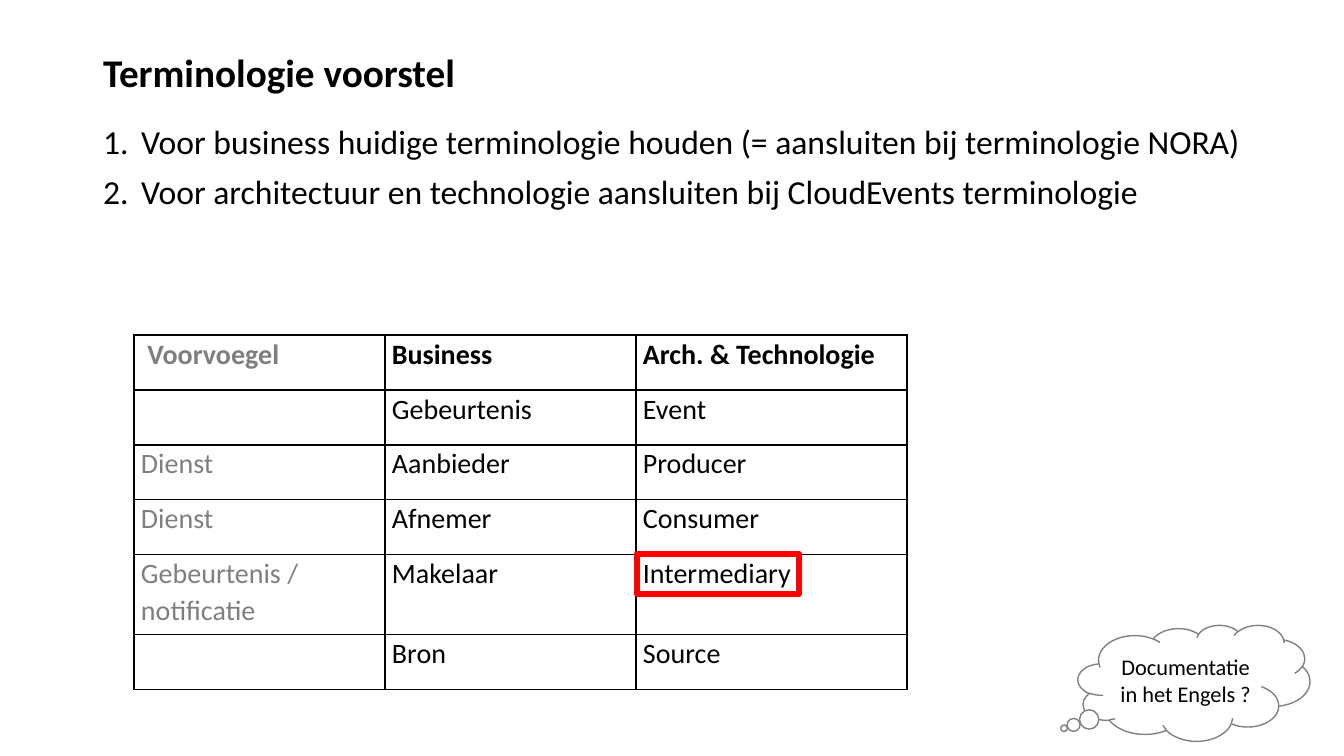
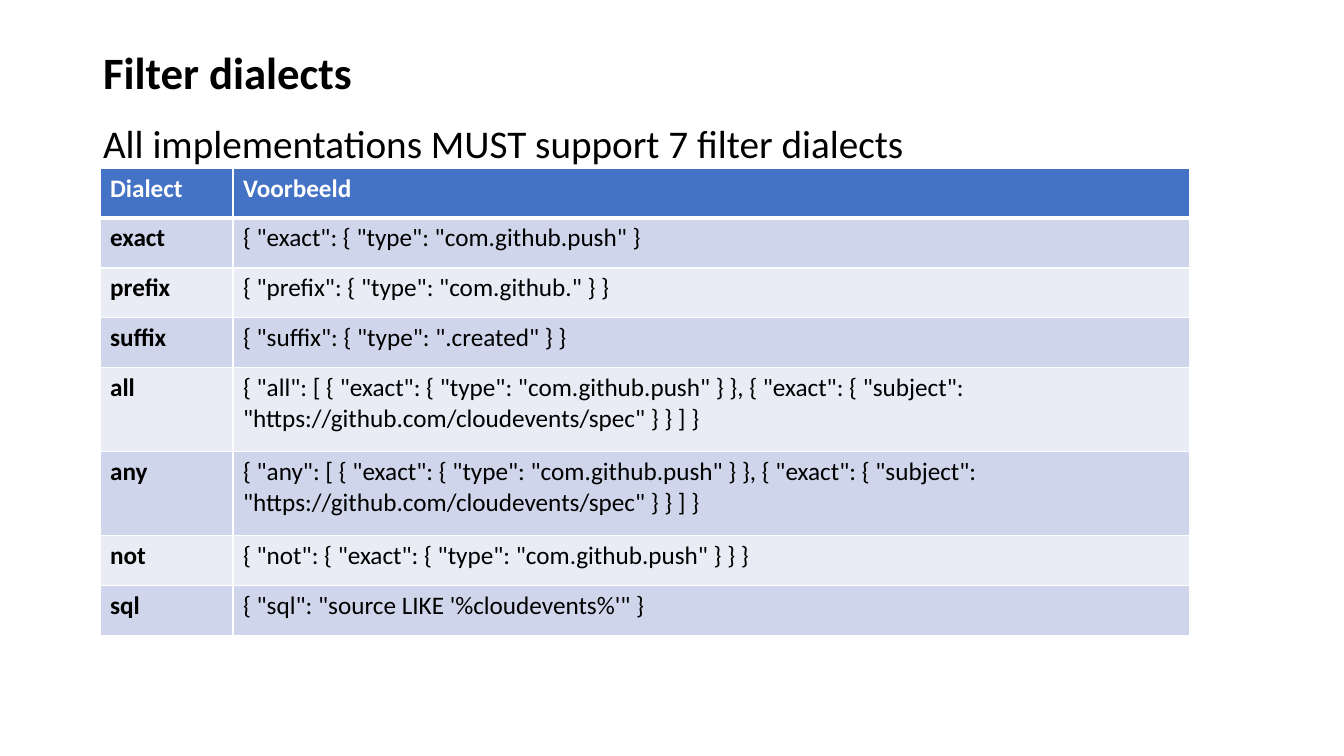
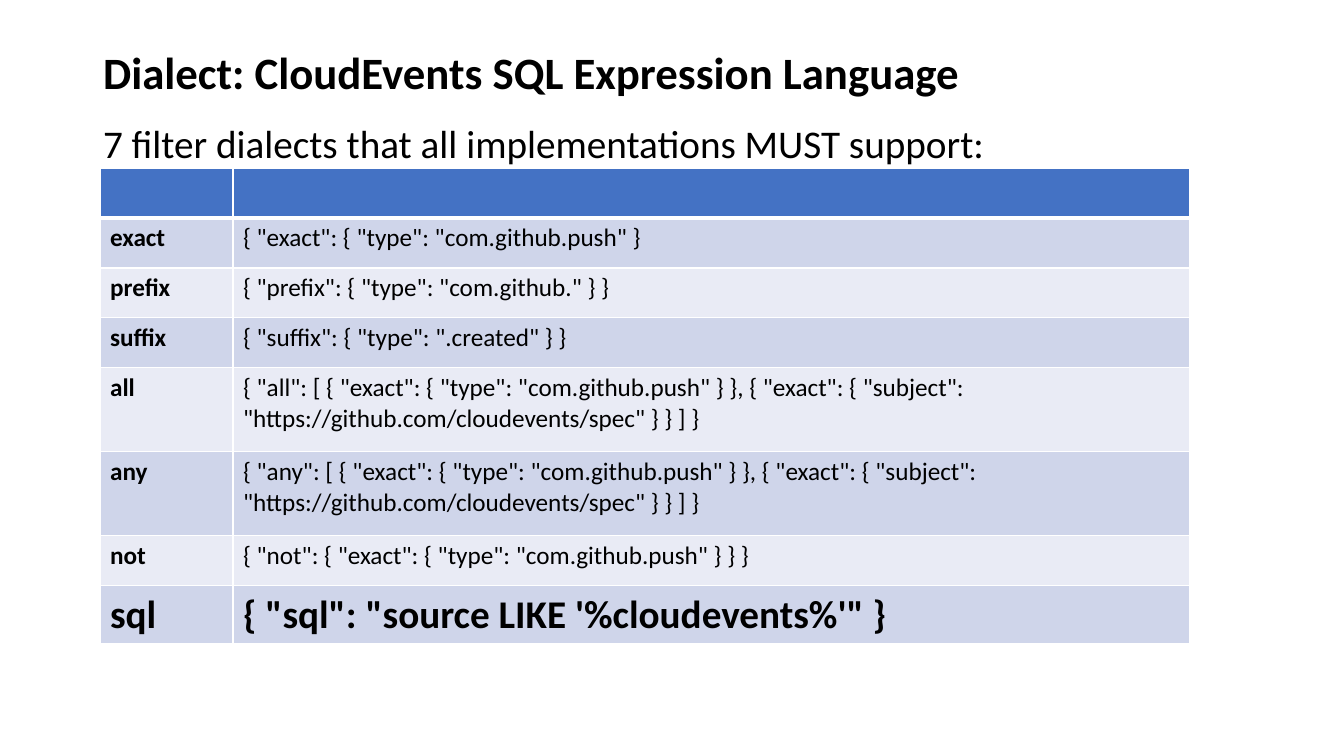
from dataclasses import dataclass

from pptx import Presentation
from pptx.dml.color import RGBColor as Rgb
from pptx.enum.shapes import MSO_SHAPE as Shape
from pptx.enum.text import MSO_ANCHOR as Anchor, MSO_AUTO_SIZE as Fit, PP_ALIGN as Align
from pptx.oxml.xmlchemy import OxmlElement as Node
from pptx.util import Pt

WIDE, HIGH = 1344, 756
SCALE = 12192000 / WIDE


def px(n):
    return round(n * SCALE)


@dataclass(frozen=True)
class Theme:
    font: str = "Calibri"
    black: str = "000000"
    white: str = "FFFFFF"
    gray: str = "7F7F7F"
    edge: str = "808080"
    red: str = "FF0000"
    blue: str = "4472C4"
    dark: str = "CFD5EA"
    light: str = "E9EBF5"
    small: int = 16
    code: int = 18
    term: int = 20
    list: int = 24
    big: int = 28
    head: int = 32


T = Theme()


def apply(obj, fmt):
    for key, val in fmt.items():
        setattr(obj, key, val)


class Deck:
    """Holds the presentation and the current slide."""

    def __init__(self):
        self.prs = Presentation()
        apply(self.prs, {"slide_width": px(WIDE), "slide_height": px(HIGH)})
        self.slide = None

    # Text
    def label(self, frame, lines, size, color=T.black, bold=False, number=None, **para):
        for i, line in enumerate(lines):
            par = frame.add_paragraph() if i else frame.paragraphs[0]
            if number is not None:
                self.bullet(par, number)
            apply(par, para if i else {**para, "space_before": Pt(0)})
            run = par.add_run()
            run.text = line
            apply(run.font, {"name": T.font, "size": Pt(size), "bold": bold})
            run.font.color.rgb = Rgb.from_string(color)

    def bullet(self, par, number):
        props = par._p.get_or_add_pPr()
        pad = px(38) if number else 0
        props.set("marL", str(pad))
        props.set("indent", str(-pad))
        mark = Node("a:buAutoNum" if number else "a:buNone")
        if number:
            mark.set("type", "arabicPeriod")
        props.append(mark)

    def place(self, holder, box, anchor):
        names = ("left", "top", "width", "height")
        apply(holder, dict(zip(names, map(px, box))))
        apply(holder.text_frame, {"word_wrap": True, "auto_size": Fit.NONE,
                                  "vertical_anchor": anchor})
        return holder.text_frame

    # Slide with title and body
    def page(self, title, lines, head=T.head, size=T.big, number=False,
             span=1159, body=(1159, 560)):
        self.slide = self.prs.slides.add_slide(self.prs.slide_layouts[1])
        name, text = self.slide.placeholders
        style = {"alignment": Align.LEFT, "line_spacing": 0.9}
        frame = self.place(name, (93, 40, span, 70), Anchor.MIDDLE)
        self.label(frame, [title], head, bold=True, **style)
        frame = self.place(text, (93, 120, *body), Anchor.TOP)
        self.label(frame, lines, size, number=number, space_before=Pt(10), **style)

    # Table: look(row, col) gives the fill and the text format of a cell
    def table(self, x, y, cols, rows, data, look, line, rule=1, inset=None, **para):
        grid = self.slide.shapes.add_table(
            len(rows), len(cols), px(x), px(y), px(sum(cols)), px(sum(rows))).table
        grid.horz_banding = False
        for col, wide in zip(grid.columns, cols):
            col.width = px(wide)
        for r, (row, high) in enumerate(zip(grid.rows, rows)):
            row.height = px(high)
            for c, cell in enumerate(row.cells):
                fill, fmt = look(r, c)
                self.border(cell, line, top=rule if r == 1 else 1,
                            bottom=rule if r == 0 else 1)
                self.paint(cell, fill)
                apply(cell, inset or {})
                if data[r][c]:
                    self.label(cell.text_frame, [data[r][c]], **fmt, **para)

    def border(self, cell, color, top, bottom):
        props = cell._tc.get_or_add_tcPr()
        for side, wide in zip("LRTB", (1, 1, top, bottom)):
            edge = Node(f"a:ln{side}")
            edge.set("w", str(Pt(wide)))
            fill, tint = Node("a:solidFill"), Node("a:srgbClr")
            tint.set("val", color)
            fill.append(tint)
            edge.append(fill)
            props.append(edge)

    def paint(self, item, color):
        if color:
            item.fill.solid()
            item.fill.fore_color.rgb = Rgb.from_string(color)
        else:
            item.fill.background()

    # Preset shapes
    def shape(self, kind, box, line, width, fill=None):
        item = self.slide.shapes.add_shape(kind, *map(px, box))
        item.shadow.inherit = False
        self.paint(item, fill)
        item.line.color.rgb = Rgb.from_string(line)
        item.line.width = Pt(width)
        return item

    def cloud(self, box, text, tail):
        item = self.shape(Shape.CLOUD_CALLOUT, box, T.edge, 1, T.white)
        for i, val in enumerate(tail):
            item.adjustments[i] = val
        apply(item.text_frame, {"word_wrap": True, "vertical_anchor": Anchor.MIDDLE})
        self.label(item.text_frame, [text], T.small, alignment=Align.CENTER)

    # Table of filter dialects
    def filters(self, head, loud=False):
        last = len(CODE)

        def look(r, c):
            if r == 0:
                return T.blue, {"size": T.code, "color": T.white, "bold": True}
            peak = loud and r == last
            return (T.dark if r % 2 else T.light,
                    {"size": T.big if peak else T.code, "bold": c == 0 or peak})

        rows = [50] + [84 if key in ("all", "any") else 50 for key, _ in CODE]
        if loud:
            rows[-1] = 58
        self.table(100, 168, (133, 957), rows, [head, *CODE], look, T.white, rule=3)


# Content
TERMS = [
    (" Voorvoegel", "Business", "Arch. & Technologie"),
    ("", "Gebeurtenis", "Event"),
    ("Dienst", "Aanbieder", "Producer"),
    ("Dienst", "Afnemer", "Consumer"),
    ("Gebeurtenis / notificatie", "Makelaar", "Intermediary"),
    ("", "Bron", "Source"),
]
PUSH = '{ "exact": { "type": "com.github.push" }'
BOTH = f'[ {PUSH} }}, {{ "exact": {{ "subject": "https://github.com/cloudevents/spec" }} }} ] }}'
CODE = [
    ("exact", PUSH),
    ("prefix", '{ "prefix": { "type": "com.github." } }'),
    ("suffix", '{ "suffix": { "type": ".created" } }'),
    ("all", '{ "all": ' + BOTH),
    ("any", '{ "any": ' + BOTH),
    ("not", '{ "not": ' + PUSH + " } }"),
    ("sql", """{ "sql": "source LIKE '%cloudevents%'" }"""),
]


def term(r, c):
    return None, {"size": T.term, "bold": r == 0, "color": T.black if c else T.gray}


def main():
    deck = Deck()

    # Terminology
    deck.page("Terminologie voorstel", [
        "Voor business huidige terminologie houden (= aansluiten bij terminologie NORA)",
        "Voor architectuur en technologie aansluiten bij CloudEvents terminologie",
    ], head=T.big, size=T.list, number=True, body=(1234, 170))
    inset = {"margin_left": px(7), "margin_right": px(7), "margin_top": 0, "margin_bottom": 0}
    deck.table(134, 335, (251, 251, 271), (55, 55, 55, 55, 80, 55), TERMS, term,
               T.black, inset=inset, line_spacing=1.07, space_after=Pt(8))
    deck.shape(Shape.RECTANGLE, (637, 554, 162, 40), T.red, 4.5)
    deck.cloud((1078, 625, 232, 116), "Documentatie in het Engels ?", (-0.56, 0.39))

    # Dialects
    deck.page("Filter dialects", ["All implementations MUST support 7 filter dialects"], span=287)
    deck.filters(("Dialect", "Voorbeeld"))

    # SQL dialect
    deck.page("Dialect: CloudEvents SQL Expression Language",
              ["7 filter dialects that all implementations MUST support:"])
    deck.filters(("", ""), loud=True)

    deck.prs.save("out.pptx")


if __name__ == "__main__":
    main()
